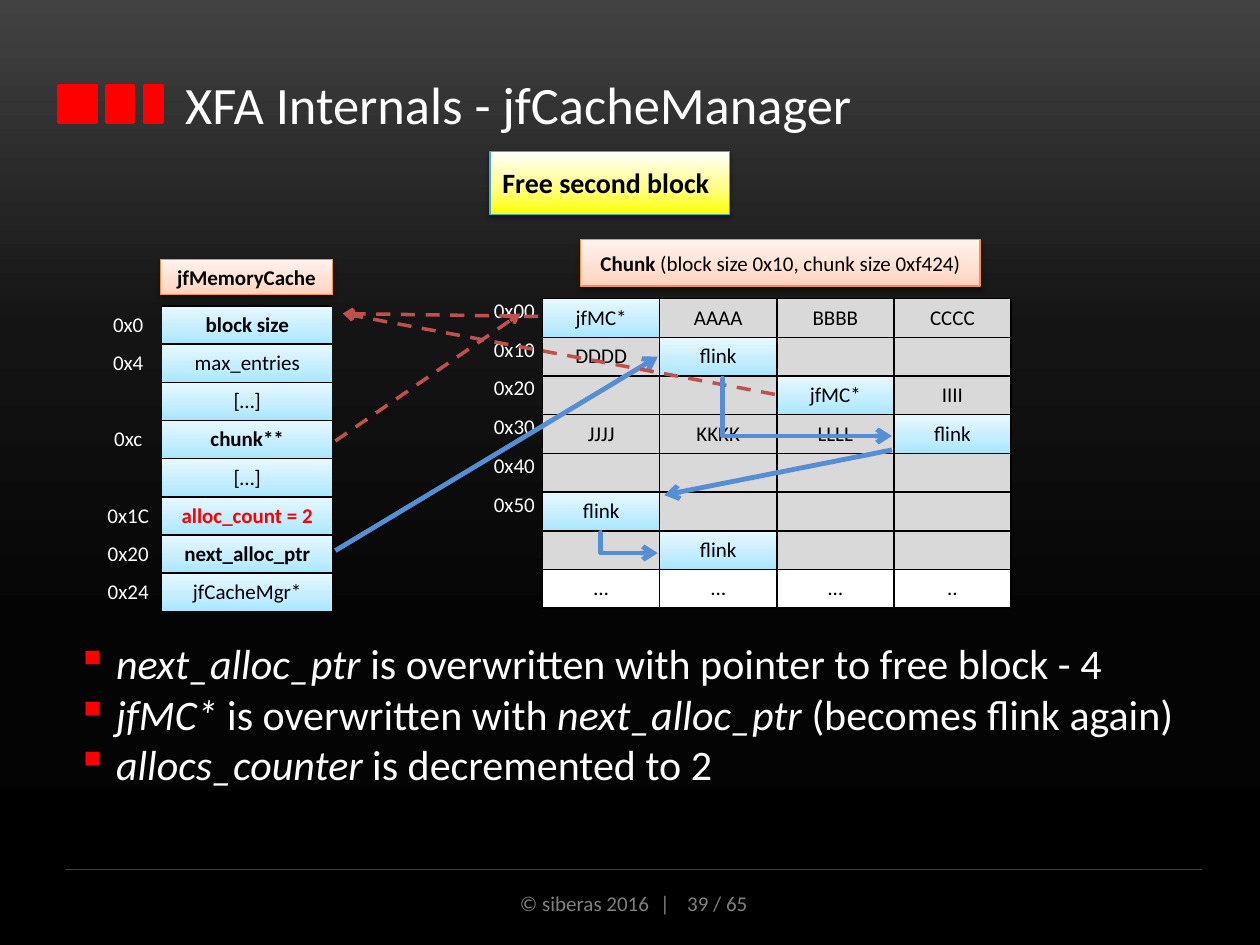
from lxml import etree
from pptx import Presentation
from pptx import util as u
from pptx.dml.color import RGBColor
from pptx.enum import dml, shapes, text
from pptx.oxml.ns import qn

COLORS = {
    "white": "FFFFFF", "black": "000000", "red": "FF0000", "grey": "808080",
    "rule": "404040", "cell": "D9D9D9", "orange": "F69240", "teal": "46AAC5",
    "link": "558ED5", "back": "C0504D",
}
GRADIENTS = {
    "night": [(0, "424242"), (35, "141414"), (67, "040404"), (100, "000000")],
    "blue": [(0, "A7E6FF"), (35, "C1EDFF"), (100, "E7F8FF")],
    "peach": [(0, "FFD2BD"), (35, "FFDED0"), (100, "FFF2ED")],
    "yellow": [(0, "FFFF00"), (39, "FFFF80"), (100, "FFFFFF")],
}
NO_TABLE_STYLE = "{2D5ABB26-0587-4C30-8999-92F81FD0307C}"
CENTER, LEFT = text.PP_ALIGN.CENTER, text.PP_ALIGN.LEFT
MIDDLE, TOP = text.MSO_ANCHOR.MIDDLE, text.MSO_ANCHOR.TOP


def rgb(name):
    return RGBColor.from_string(COLORS[name])


def add(parent, tag, **attributes):
    return etree.SubElement(parent, qn(tag), attributes)


class SlideBuilder:
    font = "Calibri"

    def __init__(self, slide):
        self.slide = slide

    def paint(self, fill, owner, name, angle=90):
        """Fill with a named gradient or flat colour; owner is the XML element."""
        if name not in GRADIENTS:
            fill.solid()
            fill.fore_color.rgb = rgb(name)
            return
        fill.gradient()
        fill.gradient_angle = angle
        stops = next(owner.iter(qn("a:gsLst")))
        for stop in list(stops):
            stops.remove(stop)
        for position, color in GRADIENTS[name]:
            add(add(stops, "a:gs", pos=str(position * 1000)), "a:srgbClr", val=color)

    def set_text(self, paragraph, content, size=12, color="black", align=LEFT, bold=False):
        """Content is a string or a list of (text, style dict) runs."""
        paragraph.alignment = align
        font = paragraph.font
        font.name, font.size, font.bold = self.font, u.Pt(size), bold
        font.color.rgb = rgb(color)
        if isinstance(content, str):
            content = [(content, {})] if content else []
        for words, style in content:
            run = paragraph.add_run()
            run.text = words
            if "spacing" in style:
                run._r.get_or_add_rPr().set("spc", style["spacing"])
            if "italic" in style:
                run.font.italic = style["italic"]
            if "bold" in style:
                run.font.bold = style["bold"]
        if not content:
            add(paragraph._p, "a:endParaRPr", sz=str(size * 100))

    def place(self, shape, left, top, width, height):
        shape.left, shape.top = u.Cm(left), u.Cm(top)
        shape.width, shape.height = u.Cm(width), u.Cm(height)

    def title(self, words, *box):
        shape = self.slide.shapes.title
        self.place(shape, *box)
        shape.text_frame.vertical_anchor = MIDDLE
        self.set_text(shape.text_frame.paragraphs[0], words, 30, "white")

    def rectangle(self, left, top, width, height, fill, line, weight):
        shape = self.slide.shapes.add_shape(
            shapes.MSO_SHAPE.RECTANGLE, *map(u.Cm, (left, top, width, height)))
        shape.shadow.inherit = False
        self.paint(shape.fill, shape._element.spPr, fill)
        shape.line.color.rgb = rgb(line)
        shape.line.width = u.Pt(weight)
        return shape

    def label(self, content, *box, fill="peach", line="orange", size=12, align=CENTER):
        shape = self.rectangle(*box, fill, line, 0.75)
        effects = shape._element.spPr.find(qn("a:effectLst"))
        shadow = add(effects, "a:outerShdw", blurRad="40000", dist="20000",
                     dir="5400000", rotWithShape="0")
        add(add(shadow, "a:srgbClr", val=COLORS["black"]), "a:alpha", val="38000")
        frame = shape.text_frame
        frame.word_wrap, frame.vertical_anchor = True, MIDDLE
        self.set_text(frame.paragraphs[0], content, size, "black", align, True)

    def textbox(self, *box):
        frame = self.slide.shapes.add_textbox(*map(u.Cm, box)).text_frame
        frame.word_wrap = True
        return frame

    def bullets(self, items, *box):
        frame = self.textbox(*box)
        for index, item in enumerate(items):
            paragraph = frame.add_paragraph() if index else frame.paragraphs[0]
            properties = paragraph._p.get_or_add_pPr()
            properties.set("marL", str(u.Cm(0.79)))
            properties.set("indent", str(-u.Cm(0.79)))
            add(add(properties, "a:buClr"), "a:srgbClr", val=COLORS["red"])
            add(properties, "a:buChar", char="▪")
            self.set_text(paragraph, item, 24, "white")

    def line(self, start, end, color, weight, arrow=True, dashed=False, bend=None):
        """Draw a line; bend is the elbow position in thousandths of a percent."""
        kind = shapes.MSO_CONNECTOR.STRAIGHT if bend is None else shapes.MSO_CONNECTOR.ELBOW
        connector = self.slide.shapes.add_connector(kind, *map(u.Cm, (*start, *end)))
        connector.line.color.rgb = rgb(color)
        connector.line.width = u.Pt(weight)
        if dashed:
            connector.line.dash_style = dml.MSO_LINE.DASH
        properties = connector._element.spPr
        if arrow:
            add(properties.find(qn("a:ln")), "a:tailEnd", type="arrow")
        if bend is not None:
            guides = next(properties.iter(qn("a:avLst")))
            add(guides, "a:gd", name="adj1", fmla=f"val {bend}")
        add(properties, "a:effectLst")

    def table(self, left, top, widths, row_height, rows, inset, sides):
        """Rows hold (words, fill, colour, bold) cells; a fill of None is a row label."""
        frame = self.slide.shapes.add_table(
            len(rows), len(widths), u.Cm(left), u.Cm(top),
            u.Cm(sum(widths)), u.Cm(row_height * len(rows)))
        table = frame.table
        table.first_row = table.horz_banding = False
        table._tbl.tblPr.find(qn("a:tableStyleId")).text = NO_TABLE_STYLE
        for column, width in zip(table.columns, widths):
            column.width = u.Cm(width)
        for row, values in zip(table.rows, rows):
            row.height = u.Cm(row_height)
            for cell, (words, fill, color, bold) in zip(row.cells, values):
                cell.margin_left = cell.margin_right = u.Cm(inset)
                cell.margin_top = cell.margin_bottom = u.Cm(inset)
                cell.vertical_anchor = MIDDLE if fill else TOP
                self.set_text(cell.text_frame.paragraphs[0], words, 12, color, CENTER, bold)
                if fill is None:
                    cell.fill.background()
                    continue
                properties = cell._tc.get_or_add_tcPr()
                for side in sides:
                    border = add(properties, f"a:ln{side}", w=str(u.Pt(1)))
                    add(add(border, "a:solidFill"), "a:srgbClr", val=COLORS["black"])
                self.paint(cell.fill, properties, fill)


def main():
    presentation = Presentation()
    presentation.slide_width, presentation.slide_height = u.Cm(25.4), u.Cm(19.05)
    slide = presentation.slides.add_slide(presentation.slide_layouts[5])
    builder = SlideBuilder(slide)
    builder.paint(slide.background.fill, slide._element, "night", 270)

    for left, width in ((1.19, 0.76), (2.16, 0.53), (2.92, 0.36)):
        builder.rectangle(left, 1.73, width, 0.74, "red", "red", 2)
    builder.line((1.32, 17.53), (24.23, 17.53), "rule", 0.75, arrow=False)
    footer = [("© siberas 2016", {}), (" | ", {"spacing": "360"}), ("39 / 65", {})]
    builder.set_text(builder.textbox(8.56, 17.83, 8.43, 0.76).paragraphs[0],
                     footer, 12, "grey", CENTER)
    builder.title("XFA Internals - jfCacheManager", 3.48, 0.99, 20.62, 2.21)

    fields = [("0x0", "block size"), ("0x4", "max_entries"), ("", "[…]"),
              ("0xc", "chunk**"), ("", "[…]"), ("0x1C", "alloc_count = 2"),
              ("0x20", "next_alloc_ptr"), ("0x24", "jfCacheMgr*")]
    strong = {"block size", "chunk**", "alloc_count = 2", "next_alloc_ptr"}
    cache_rows = [
        [(offset, None, "white", False),
         (name, "blue", "red" if name.startswith("alloc") else "black", name in strong)]
        for offset, name in fields]
    builder.table(1.9, 6.17, [1.37, 3.43], 0.76, cache_rows, 0.13, "TB")
    builder.label("jfMemoryCache", 3.23, 5.23, 3.48, 0.71)

    chunk = [("0x00", "jfMC*", "AAAA", "BBBB", "CCCC"), ("0x10", "DDDD", "flink", "", ""),
             ("0x20", "", "", "jfMC*", "IIII"), ("0x30", "JJJJ", "KKKK", "LLLL", "flink"),
             ("0x40", "", "", "", ""), ("0x50", "flink", "", "", ""),
             ("", "", "flink", "", ""), ("", "…", "…", "…", "..")]
    fills = {"jfMC*": "blue", "flink": "blue", "…": "white", "..": "white"}
    chunk_rows = [
        [(offset, None, "white", False)]
        + [(word, fills.get(word, "cell"), "black", False) for word in words]
        for offset, *words in chunk]
    builder.table(9.8, 6.02, [1.14] + [2.36] * 4, 0.78, chunk_rows, 0, "LRTB")

    builder.line((17.98, 9.07), (13.39, 9.98), "link", 2.75)
    builder.label([("Chunk ", {}), ("(block size 0x10, chunk size 0xf424)", {"bold": False})],
                  11.71, 4.83, 8.05, 0.94)
    italic = {"italic": True}
    builder.bullets([
        [("next_alloc_ptr ", italic), ("is overwritten with pointer to free block - 4", {})],
        [("jfMC* ", italic), ("is overwritten with ", {}),
         ("next_alloc_ptr ", italic), ("(becomes flink again)", {})],
        [("allocs_counter ", italic), ("is decremented to 2", {})],
    ], 1.3, 12.73, 22.81, 3.33)
    builder.line((6.76, 11.1), (13.26, 7.19), "link", 2.75)
    builder.line((12.14, 10.74), (13.26, 11.15), "link", 2.75, bend=-2800)
    builder.label("Free second block", 9.88, 3.05, 4.83, 1.27,
                  fill="yellow", line="teal", size=16, align=LEFT)
    for start, end in (((6.76, 8.89), (10.49, 6.32)), ((10.85, 6.38), (6.91, 6.32)),
                       ((15.62, 7.95), (6.91, 6.32))):
        builder.line(start, end, "back", 2, dashed=True)
    builder.line((14.53, 7.62), (17.98, 8.79), "link", 2.75, bend=900)
    presentation.save("out.pptx")


if __name__ == "__main__":
    main()
